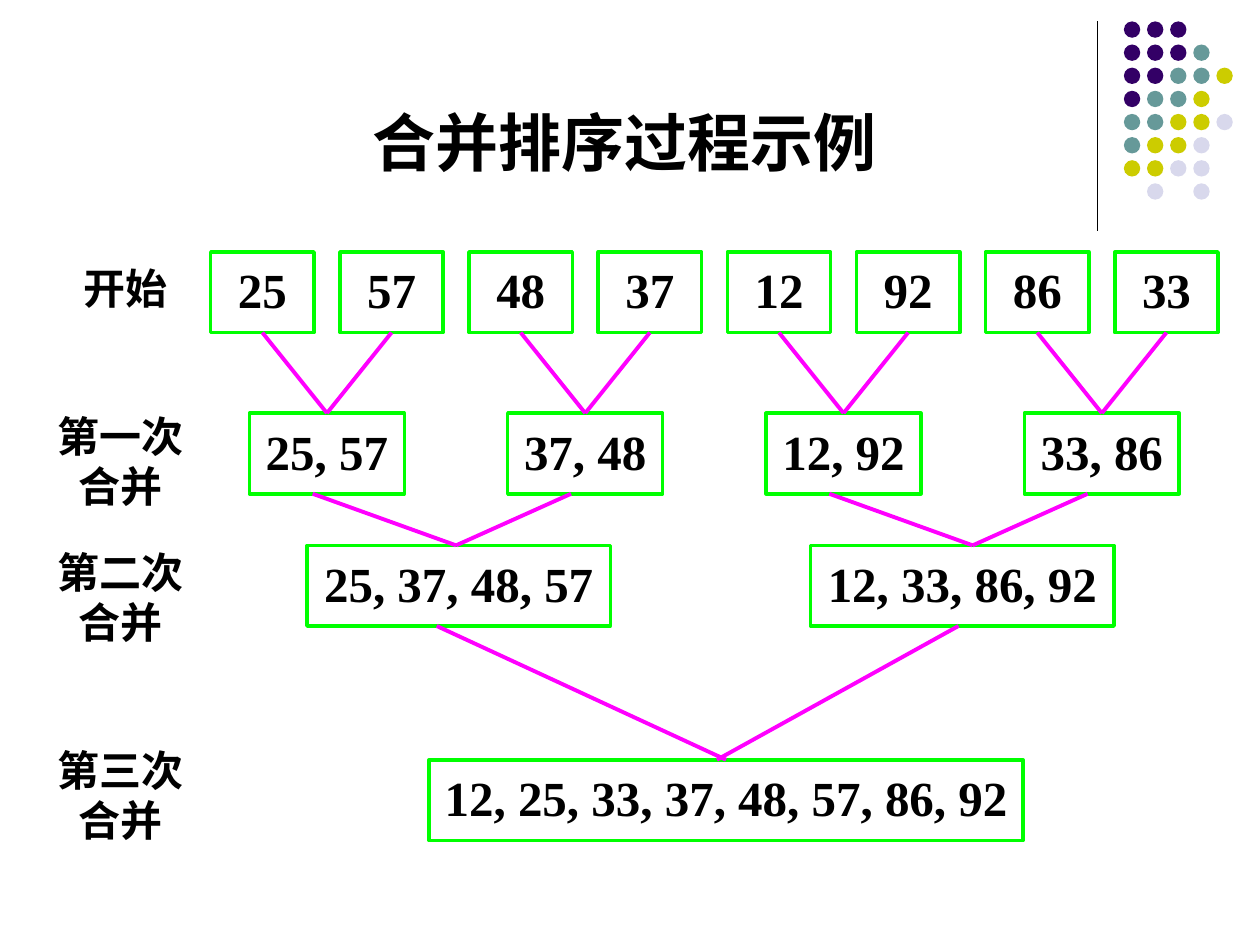
from lxml import etree
from pptx import Presentation
from pptx import util as u
from pptx.dml.color import RGBColor
from pptx.enum import shapes, text
from pptx.oxml import ns

BLACK = RGBColor(0x00, 0x00, 0x00)
GREEN = RGBColor(0x00, 0xFF, 0x00)
MAGENTA = RGBColor(0xFF, 0x00, 0xFF)
DOT_COLOURS = {
    "P": RGBColor(0x33, 0x00, 0x66),
    "T": RGBColor(0x66, 0x99, 0x99),
    "Y": RGBColor(0xCC, 0xCC, 0x00),
    "L": RGBColor(0xD8, 0xD8, 0xEC),
}
DOT_ROWS = ["PPP", "PPPT", "PPTTY", "PTTY", "TTYYL", "TYYL", "YYLL", ".L.L"]
CHINESE, LATIN = "Noto Sans CJK SC", "Times New Roman"

# Each level: top in rows, box width in columns, (values, centre in columns)
LEVELS = [
    (0, 0.8, [(value, i + 0.5) for i, value in
              enumerate("25 57 48 37 12 92 86 33".split())]),
    (2, 1.2, [("25, 57", 1), ("37, 48", 3), ("12, 92", 5), ("33, 86", 7)]),
    (3.64, 2.35, [("25, 37, 48, 57", 2.02), ("12, 33, 86, 92", 5.92)]),
    (6.3, 4.6, [("12, 25, 33, 37, 48, 57, 86, 92", 4.09)]),
]
# Lines that miss the box middles: start level, start column, end column
SLANTED_LINES = [
    (1, 0.89, 2), (1, 2.89, 2), (1, 4.89, 6), (1, 6.89, 6),
    (2, 1.85, 4.09), (2, 5.89, 4.02),
]
# Step labels: wording, top in rows, shift in columns
STEPS = [("开始", 0, 0.03), ("第一次合并", 1.83, 0),
         ("第二次合并", 3.52, 0), ("第三次合并", 5.98, 0)]
TREE_ROWS = 7.3


def inches(*lengths):
    return [u.Inches(length) for length in lengths]


def write(shape, wording, font_name, size, insets):
    frame = shape.text_frame
    frame.word_wrap = True
    (frame.margin_left, frame.margin_top,
     frame.margin_right, frame.margin_bottom) = inches(*insets)
    frame.text = wording
    paragraph = frame.paragraphs[0]
    paragraph.alignment = text.PP_ALIGN.CENTER
    font = paragraph.runs[0].font
    font.name, font.size, font.bold = font_name, u.Pt(size), True
    font.color.rgb = BLACK
    east_asian = etree.SubElement(font._element, ns.qn("a:ea"))
    east_asian.set("typeface", font_name)
    return paragraph


def add_heading(slide, box, wording, size):
    shape = slide.shapes.add_textbox(*inches(*box))
    top_inset = 0.05 + 0.1 * size / 72
    paragraph = write(shape, wording, CHINESE, size, (0.1, top_inset, 0.1, 0))
    paragraph.line_spacing = u.Pt(1.2 * size)


def add_line(slide, start, end, colour, width):
    line = slide.shapes.add_connector(
        shapes.MSO_CONNECTOR.STRAIGHT, *inches(*start, *end))
    line.line.color.rgb = colour
    line.line.width = u.Pt(width)
    etree.SubElement(line._element.spPr, ns.qn("a:effectLst"))
    return line


def add_ornament(slide, left, top, width, height):
    """Vertical rule with a field of dots to its right."""
    add_line(slide, (left, top), (left, top + height), BLACK, 0.75)
    pitch = 0.17 * width
    for i, row in enumerate(DOT_ROWS):
        for j, key in enumerate(row):
            if key not in DOT_COLOURS:
                continue
            dot = slide.shapes.add_shape(
                shapes.MSO_SHAPE.OVAL,
                *inches(left + 0.21 + j * pitch, top + i * pitch, 0.13, 0.13))
            dot.shadow.inherit = False
            dot.fill.solid()
            dot.fill.fore_color.rgb = DOT_COLOURS[key]
            dot.line.fill.background()


def add_steps(slide, left, top, width, height):
    """Column of step names."""
    row = height / TREE_ROWS
    for wording, at_row, shift in STEPS:
        lines = 1 if len(wording) < 4 else 2
        box = (left + shift * width, top + at_row * row,
               width, 0.1 + 0.4 * lines)
        add_heading(slide, box, wording, 24)


def add_tree(slide, left, top, width, height):
    """Boxes of sorted runs and the lines that merge them."""
    column, row = width / 8, height / TREE_ROWS
    levels = []
    for at_row, columns, runs in LEVELS:
        level = []
        for wording, centre in runs:
            shape = slide.shapes.add_shape(
                shapes.MSO_SHAPE.RECTANGLE,
                *inches(left + (centre - columns / 2) * column,
                        top + at_row * row, columns * column, row))
            shape.shadow.inherit = False
            shape.fill.background()
            shape.line.color.rgb = GREEN
            shape.line.width = u.Pt(2)
            write(shape, wording, LATIN, 28, (0, 0, 0, 0.05))
            shape.text_frame.vertical_anchor = text.MSO_ANCHOR.MIDDLE
            level.append(shape)
        levels.append(level)

    # First merge: joined from box middle to box middle
    for i, leaf in enumerate(levels[0]):
        line = add_line(slide, (left, top), (left, top), MAGENTA, 2.25)
        line.begin_connect(leaf, 2)
        line.end_connect(levels[1][i // 2], 0)

    # Later merges
    for level, start, end in SLANTED_LINES:
        add_line(slide,
                 (left + start * column, top + (LEVELS[level][0] + 1) * row),
                 (left + end * column, top + LEVELS[level + 1][0] * row),
                 MAGENTA, 2.25)


def main():
    presentation = Presentation()
    presentation.slide_width, presentation.slide_height = inches(10, 7.5)
    slide = presentation.slides.add_slide(presentation.slide_layouts[6])
    add_ornament(slide, 8.71, 0.17, 1.08, 1.66)
    add_steps(slide, 0.33, 2, 1.25, 4.67)
    add_tree(slide, 1.57, 2, 8.2, 4.67)
    add_heading(slide, (2.42, 0.72, 5.08, 0.7), "合并排序过程示例", 36)
    presentation.save("out.pptx")


if __name__ == "__main__":
    main()
